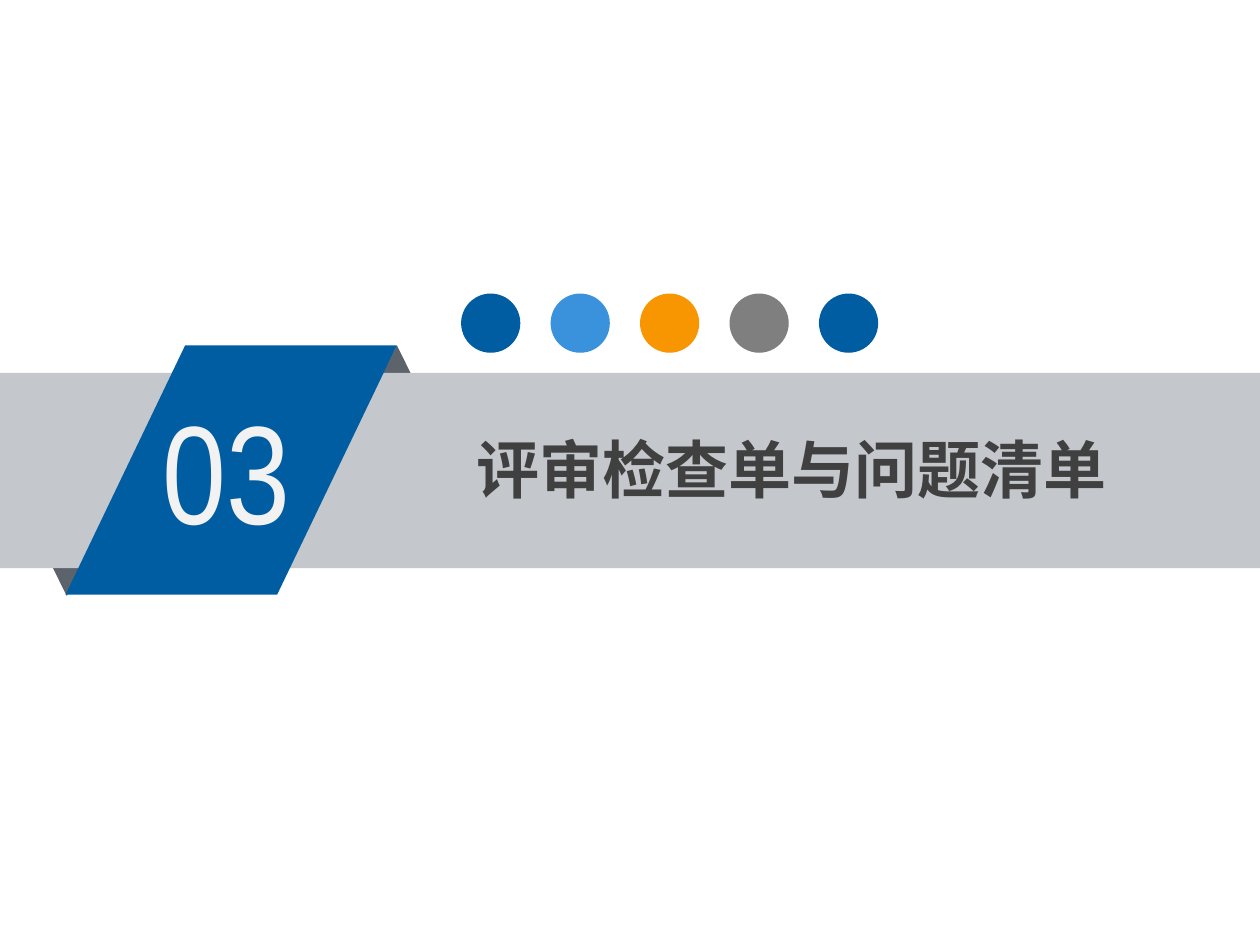
from math import cos, radians, sin

from pptx import Presentation
from pptx.dml.color import RGBColor
from pptx.enum.shapes import MSO_SHAPE
from pptx.enum.text import MSO_AUTO_SIZE
from pptx.oxml.ns import qn
from pptx.util import Inches, Pt
from lxml import etree

RECT = MSO_SHAPE.RECTANGLE
OVAL = MSO_SHAPE.OVAL
SLANT = MSO_SHAPE.PARALLELOGRAM
WEDGE = MSO_SHAPE.ISOSCELES_TRIANGLE
GROW = MSO_AUTO_SIZE.SHAPE_TO_FIT_TEXT

BLUE, SKY, ORANGE, GREY = "005DA2", "3992DB", "F79600", "7F7F7F"
BAND, FOLD, WHITE = "C4C7CB", "5D636A", "FFFFFF"


def tint(code):
    return RGBColor.from_string(code)


def arc(x, y, r, start, end, steps):
    """Points along an arc, in degrees clockwise from the right."""
    turns = [radians(start + (end - start) * i / steps) for i in range(steps + 1)]
    return [(x + r * cos(t), y + r * sin(t)) for t in turns]


def box(x, y, w, h):
    return [(x, y), (x + w, y), (x + w, y + h), (x, y + h)]


class Deck:
    def __init__(self):
        self.show = Presentation()
        self.show.slide_width, self.show.slide_height = Inches(10), Inches(7.5)
        self.slide = self.show.slides.add_slide(self.show.slide_layouts[6])
        self.shapes = self.slide.shapes

    def paint(self, shape, fill):
        shape.shadow.inherit = False
        shape.fill.solid()
        shape.fill.fore_color.rgb = tint(fill)
        shape.line.fill.background()
        return shape

    def shape(self, kind, x, y, w, h, fill, home=None):
        item = (home or self.shapes).add_shape(
            kind, Inches(x), Inches(y), Inches(w), Inches(h))
        return self.paint(item, fill)

    def outline(self, parts, fill, home):
        """Draw closed outlines as one shape; inner ones become holes."""
        paths = [[(Inches(x), Inches(y)) for x, y in part] for part in parts]
        pen = home.build_freeform(*paths[0][0], scale=1.0)
        for i, path in enumerate(paths):
            if i:
                pen.move_to(*path[0])
            pen.add_line_segments(path[1:], close=True)
        return self.paint(pen.convert_to_shape(), fill)

    def icon(self, x, fill, parts):
        home = self.shapes.add_group_shape().shapes
        self.shape(OVAL, x, 2.33, 0.47, 0.47, fill, home)
        self.outline(parts, WHITE, home)

    def text(self, words, x, y, w, h, size, font, color, bold=False, side=0.08):
        frame = self.shapes.add_textbox(
            Inches(x), Inches(y), Inches(w), Inches(h)).text_frame
        frame.word_wrap = True
        frame.auto_size = GROW
        frame.margin_left = frame.margin_right = Inches(side)
        frame.margin_top = frame.margin_bottom = Inches(0.04)
        run = frame.paragraphs[0].add_run()
        run.text = words
        run.font.size, run.font.bold = Pt(size), bold
        run.font.color.rgb = tint(color)
        run.font.name = font
        east = etree.SubElement(run.font._element, qn("a:ea"))
        east.set("typeface", font)


def chart():
    axis = [(3.76, 2.45), (3.79, 2.45), (3.79, 2.66), (4.03, 2.66),
            (4.03, 2.68), (3.76, 2.68)]
    bars = [(3.81, 2.59), (3.88, 2.48), (3.95, 2.53)]
    return [axis] + [box(x, top, 0.05, 2.64 - top) for x, top in bars]


def pie():
    wedge = [(4.63, 2.55)] + arc(4.63, 2.55, 0.12, -90, 0, 5)
    rest = [(4.61, 2.58)] + arc(4.61, 2.58, 0.12, 0, 270, 15)
    return [wedge, rest]


def lens():
    x, y, a, b = 5.29, 2.53, 0.01, 0.05
    grip = [(5.46, 2.66), (5.47, 2.68), (5.44, 2.7), (5.42, 2.7)]
    plus = [(-b, -a), (-a, -a), (-a, -b), (a, -b), (a, -a), (b, -a),
            (b, a), (a, a), (a, b), (-a, b), (-a, a), (-b, a)]
    return [arc(x, y, 0.1, 56, 394, 16) + grip, arc(x, y, 0.08, 360, 0, 16),
            [(x + dx, y + dy) for dx, dy in plus]]


def book():
    rows = [2.64, 2.57, 2.5]
    cover = box(5.94, 2.44, 0.15, 0.25)
    for y in rows:
        cover += [(5.94, y + 0.02)] + arc(5.96, y, 0.02, 90, -90, 4) + [(5.94, y - 0.02)]
    rings = [box(5.92, y - 0.01, 0.06, 0.02) for y in rows]
    return [cover, box(6.11, 2.44, 0.02, 0.25)] + rings


def pad():
    cols = [6.66, 6.73, 6.79]
    page = [(6.6, 2.7), (6.6, 2.46)]
    for x in cols:
        page += [(x - 0.02, 2.46)] + arc(x, 2.47, 0.02, 180, 0, 4) + [(x + 0.02, 2.46)]
    page += [(6.85, 2.46), (6.85, 2.63), (6.82, 2.65), (6.8, 2.65),
             (6.77, 2.67), (6.79, 2.7)]
    lines = [box(6.64, y, w, 0.02)[::-1]
             for y, w in [(2.53, 0.18), (2.59, 0.18), (2.64, 0.1)]]
    rings = [box(x - 0.01, 2.43, 0.02, 0.05) for x in cols]
    tick = [(6.86, 2.66), (6.82, 2.7), (6.81, 2.7), (6.79, 2.68), (6.8, 2.66),
            (6.82, 2.67), (6.85, 2.64)]
    return [page, *lines, *rings, tick]


def main():
    deck = Deck()

    # Ribbon folds, band and slanted tab
    deck.shape(WEDGE, 2.7, 2.74, 0.9, 0.91, FOLD)
    deck.shape(WEDGE, 0.08, 3.82, 0.9, 0.91, FOLD).rotation = 180
    deck.shape(RECT, 0, 2.96, 10, 1.55, BAND)
    deck.shape(SLANT, 0.52, 2.74, 2.63, 1.98, BLUE).adjustments[0] = 0.48

    # Section number and title
    deck.text("03", 1.22, 3.01, 1.45, 1.42, 80, "Arial Narrow", "F2F2F2", side=0.07)
    deck.text("评审检查单与问题清单", 3.7, 3.38, 5.32, 0.68, 36,
              "Noto Sans CJK SC", "404040", bold=True)

    # Row of icons
    icons = [(BLUE, chart), (SKY, pie), (ORANGE, lens), (GREY, book), (BLUE, pad)]
    for i, (fill, draw) in enumerate(icons):
        deck.icon(3.66 + 0.71 * i, fill, draw())

    deck.show.save("out.pptx")


if __name__ == "__main__":
    main()
